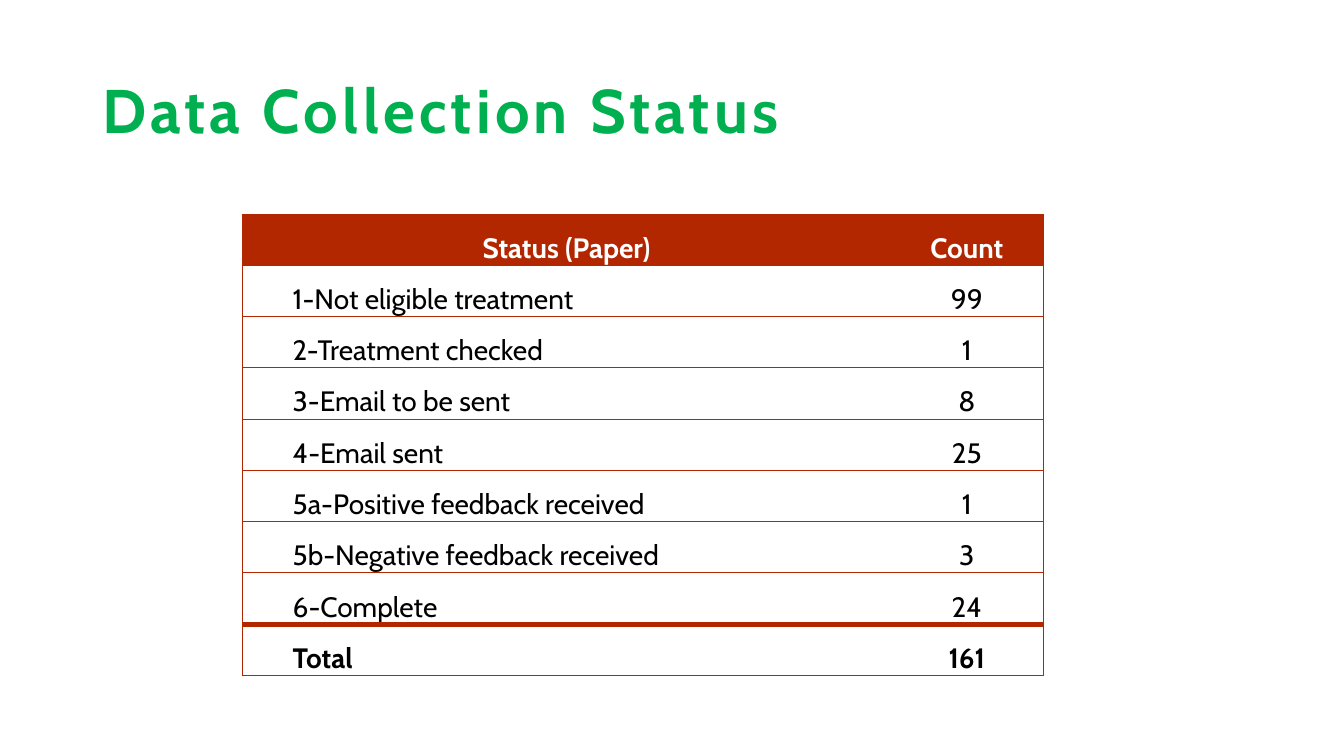
import pptx
import pptx.dml.color
import pptx.enum.text
import pptx.oxml
import pptx.oxml.ns
import pptx.util
from dataclasses import dataclass

Pt = pptx.util.Pt
Align = pptx.enum.text.PP_ALIGN
Anchor = pptx.enum.text.MSO_ANCHOR


@dataclass(frozen=True)
class Theme:
    """Colours, font and sizes of the slide."""
    green: str = "00B050"
    red: str = "B22600"
    white: str = "FFFFFF"
    black: str = "000000"
    font: str = "Cabin"
    title: float = 44
    body: float = 20
    thin: float = 0.5
    thick: float = 4


THEME = Theme()
HEAD = ("Status (Paper)", "Count")
COUNTS = (
    ("1-Not eligible treatment", 99),
    ("2-Treatment checked", 1),
    ("3-Email to be sent", 8),
    ("4-Email sent", 25),
    ("5a-Positive feedback received", 1),
    ("5b-Negative feedback received", 3),
    ("6-Complete", 24),
)
TOTAL = ("Total", sum(count for _, count in COUNTS))


def apply(item, values):
    """Set each attribute of the item from a dict."""
    for name, value in values.items():
        setattr(item, name, value)


def write(para, text, size, color, bold):
    """Add one styled run to the paragraph and return it."""
    run = para.add_run()
    run.text = str(text)
    apply(run.font, {"name": THEME.font, "size": Pt(size), "bold": bold})
    run.font.color.rgb = pptx.dml.color.RGBColor.from_string(color)
    return run


def edge(cell, side, width):
    """Draw one border of the cell, or hide it at zero width."""
    paint = "<a:noFill/>"
    if width:
        paint = f'<a:solidFill><a:srgbClr val="{THEME.red}"/></a:solidFill>'
    space = pptx.oxml.ns.nsdecls("a")
    line = f'<a:ln{side} {space} w="{int(Pt(width))}">{paint}</a:ln{side}>'
    cell._tc.get_or_add_tcPr().append(pptx.oxml.parse_xml(line))


def heading(slide, box, text):
    """Place the title within its box."""
    shape = slide.shapes.add_textbox(*map(Pt, box))
    frame = shape.text_frame
    apply(frame, {"word_wrap": True, "vertical_anchor": Anchor.MIDDLE})
    para = frame.paragraphs[0]
    para.line_spacing = 0.9
    run = write(para, text, THEME.title, THEME.green, True)
    run._r.get_or_add_rPr().set("spc", "300")


def status(slide, box, rows, share):
    """Fill the box with the status table, first column by its share."""
    left, top, width, height = box
    table = slide.shapes.add_table(len(rows), 2, *map(Pt, box)).table
    apply(table, {"first_row": False, "horz_banding": False})
    for col, part in zip(table.columns, (share, 1 - share)):
        col.width = Pt(width * part)
    last = len(rows) - 1
    for r, row in enumerate(rows):
        table.rows[r].height = Pt(height / len(rows))
        head = r == 0
        above = THEME.thick if r == last else THEME.thin
        below = THEME.thick if r == last - 1 else THEME.thin
        for c, text in enumerate(row):
            cell = table.cell(r, c)
            apply(cell, {
                "margin_left": 0, "margin_right": 0, "margin_top": 0,
                "margin_bottom": 0, "vertical_anchor": Anchor.BOTTOM,
            })
            sides = {
                "L": 0 if c else THEME.thin, "R": THEME.thin if c else 0,
                "T": above, "B": below,
            }
            for side, size in sides.items():
                edge(cell, side, size)
            para = cell.text_frame.paragraphs[0]
            if head or c:
                para.alignment = Align.CENTER
            else:
                para._p.get_or_add_pPr().set("marL", str(int(Pt(36))))
            color = THEME.white if head else THEME.black
            write(para, text, THEME.body, color, r in (0, last))
            if head:
                cell.fill.solid()
                shade = pptx.dml.color.RGBColor.from_string(THEME.red)
                cell.fill.fore_color.rgb = shade
            else:
                cell.fill.background()


def build():
    """Build the slide and save it."""
    deck = pptx.Presentation()
    apply(deck, {"slide_width": Pt(960), "slide_height": Pt(540)})
    slide = deck.slides.add_slide(deck.slide_layouts[6])
    heading(slide, (66, 28.8, 828, 104.4), "Data Collection Status")
    status(slide, (173, 152.8, 572, 329.8), (HEAD, *COUNTS, TOTAL), 0.81)
    deck.save("out.pptx")


build()
